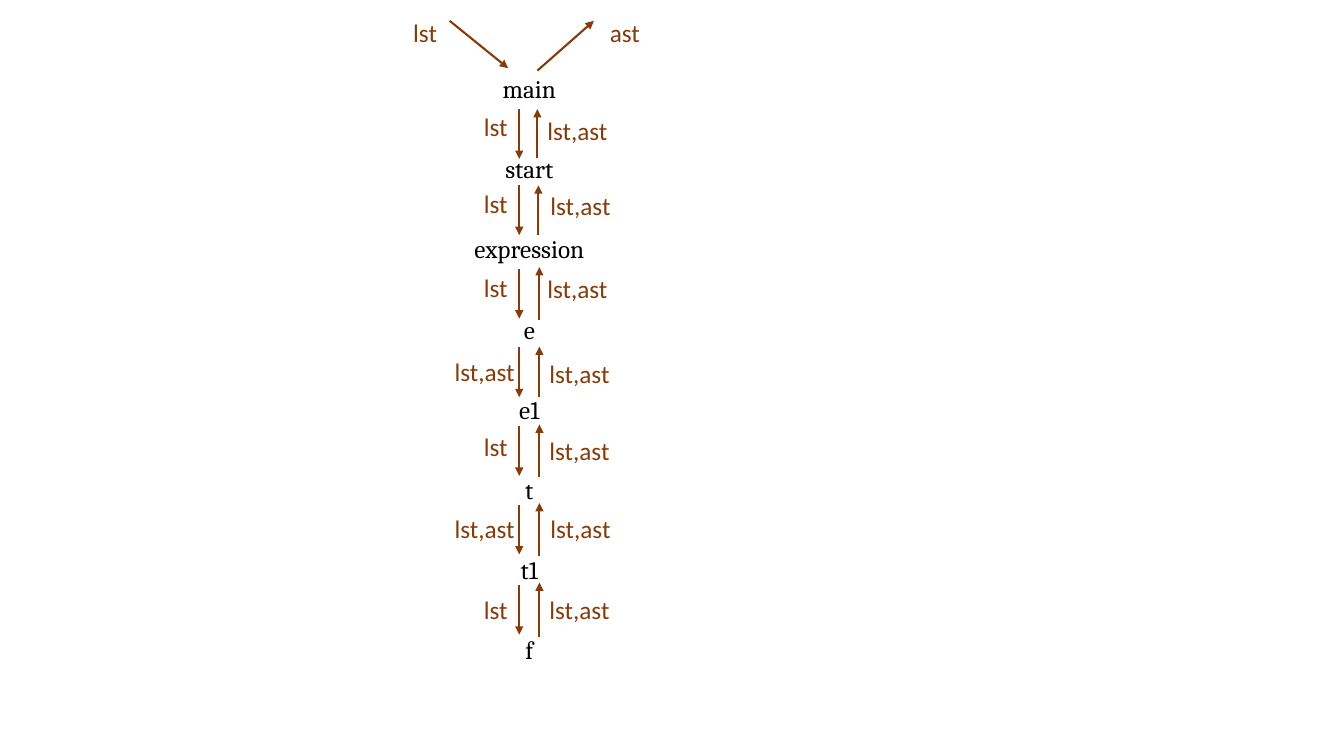
from pptx import Presentation
from pptx.dml.color import RGBColor
from pptx.enum.shapes import MSO_CONNECTOR
from pptx.enum.text import MSO_AUTO_SIZE, PP_ALIGN
from pptx.oxml.ns import qn
from pptx.util import Inches, Pt
from lxml.etree import SubElement

BLACK = RGBColor(0x00, 0x00, 0x00)
BROWN = RGBColor(0x84, 0x3C, 0x0B)

COL = 1.0
ROW = 0.796
TEXT_ROWS = 0.5
CENTRE = 5.25
DOWN_X = 5.15
DOWN_ROWS = 0.62

FUNCTIONS = ["main", "start", "expression", "e", "e1", "t", "t1", "f"]

# Each call: argument, its row, down arrow row, up arrow column, rows, result column, row
CALLS = [
    ("lst", 1.33, 1.36, 5.33, (1.97, 1.36), 5.33, 1.37),
    ("lst", 2.29, 2.31, 5.34, (2.93, 2.31), 5.36, 2.31),
    ("lst", 3.33, 3.35, 5.35, (3.99, 3.33), 5.33, 3.34),
    ("lst,ast", 4.38, 4.33, 5.35, (4.95, 4.32), 5.35, 4.41),
    ("lst", 5.31, 5.31, 5.35, (5.95, 5.29), 5.35, 5.36),
    ("lst,ast", 6.34, 6.29, 5.35, (6.93, 6.27), 5.36, 6.34),
    ("lst", 7.34, 7.29, 5.35, (7.94, 7.26), 5.35, 7.34),
]
ARGUMENT_COL = {"lst": 4.7, "lst,ast": 4.41}


class CallChart:
    node_format = {"name": "Cambria", "size": Pt(18)}
    label_format = {"name": "Calibri", "size": Pt(18)}

    def __init__(self, prs):
        self.slide = prs.slides.add_slide(prs.slide_layouts[6])

    def text(self, words, col, row, cols, style, color, align):
        sp = self.slide.shapes.add_textbox(
            Inches(col * COL), Inches(row * ROW),
            Inches(cols * COL), Inches(TEXT_ROWS * ROW))
        tf = sp.text_frame
        tf.word_wrap = True
        tf.auto_size = MSO_AUTO_SIZE.SHAPE_TO_FIT_TEXT
        p = tf.paragraphs[0]
        p.alignment = align
        r = p.add_run()
        r.text = words
        for key, value in style.items():
            setattr(r.font, key, value)
        r.font.color.rgb = color

    def node(self, words, row):
        cols = 1.58 if len(words) > 5 else 0.78
        self.text(words, CENTRE - cols / 2, row, cols,
                  self.node_format, BLACK, PP_ALIGN.CENTER)

    def label(self, words, col, row):
        self.text(words, col, row, 1.01,
                  self.label_format, BROWN, PP_ALIGN.LEFT)

    def arrow(self, start, end):
        (x1, y1), (x2, y2) = start, end
        line = self.slide.shapes.add_connector(
            MSO_CONNECTOR.STRAIGHT,
            Inches(x1 * COL), Inches(y1 * ROW),
            Inches(x2 * COL), Inches(y2 * ROW))
        line.line.color.rgb = BROWN
        line.line.width = Pt(1.5)
        SubElement(line.line._get_or_add_ln(), qn("a:tailEnd"), type="triangle")
        SubElement(line._element.spPr, qn("a:effectLst"))


def main():
    prs = Presentation()
    prs.slide_width, prs.slide_height = Inches(13.33), Inches(7.5)
    chart = CallChart(prs)

    for level, name in enumerate(FUNCTIONS):
        chart.node(name, 0.85 + level)

    chart.arrow((4.46, 0.26), (5.04, 0.85))
    chart.arrow((5.33, 0.88), (5.89, 0.26))
    chart.label("lst", 4, 0.15)
    chart.label("ast", 5.95, 0.15)

    for argument, arg_row, down, up_col, (low, high), result_col, result_row in CALLS:
        chart.arrow((DOWN_X, down), (DOWN_X, down + DOWN_ROWS))
        chart.label(argument, ARGUMENT_COL[argument], arg_row)
        chart.arrow((up_col, low), (up_col, high))
        chart.label("lst,ast", result_col, result_row)

    prs.save("out.pptx")


if __name__ == "__main__":
    main()
